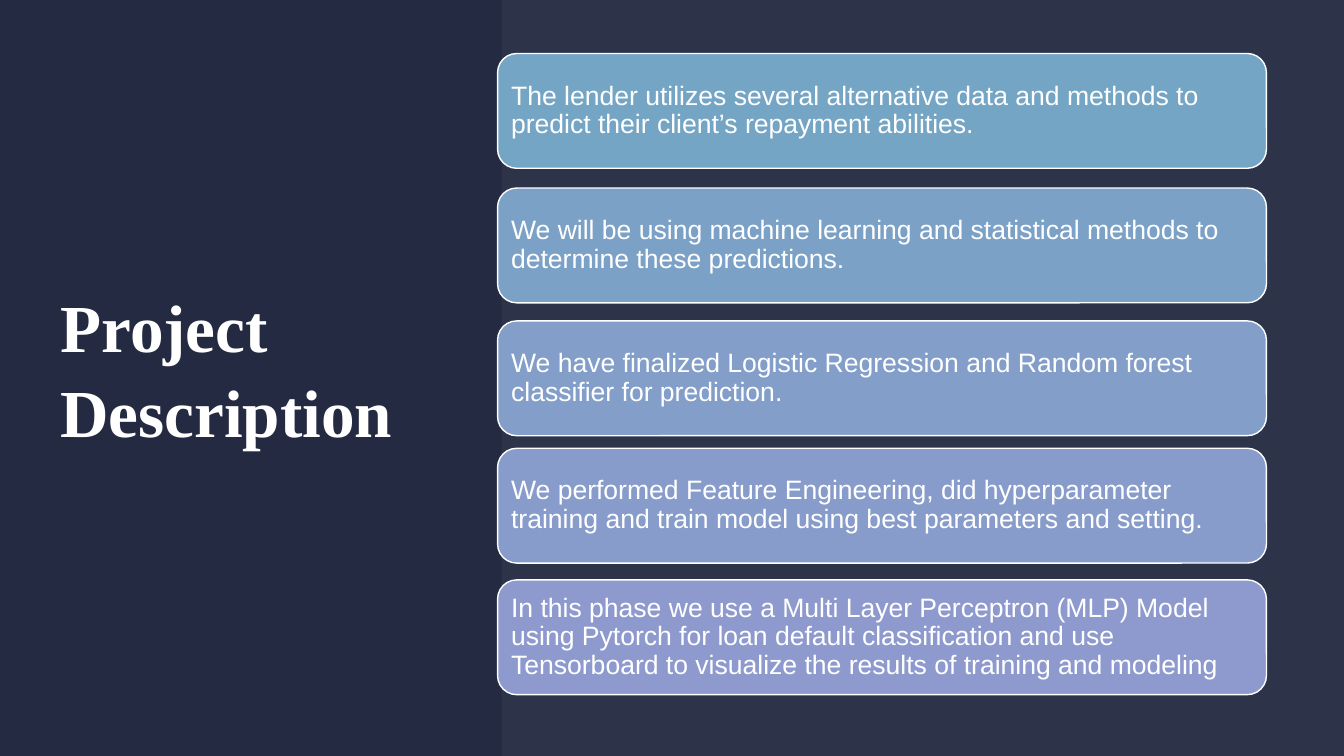
from pptx import Presentation
from pptx.dml.color import RGBColor
from pptx.enum.shapes import MSO_SHAPE
from pptx.enum.text import MSO_ANCHOR, PP_ALIGN
from pptx.oxml.ns import qn
from pptx.util import Pt
from lxml.etree import SubElement

TITLE = "Project Description"
# (top in points, fill, text)
CARDS = [
    (38.2, RGBColor(0x75, 0xA5, 0xC4),
     "The lender utilizes several alternative data and methods to predict "
     "their client’s repayment abilities."),
    (134.3, RGBColor(0x7B, 0xA1, 0xC6),
     "We will be using machine learning and statistical methods to determine "
     "these predictions."),
    (229.2, RGBColor(0x82, 0x9E, 0xC9),
     "We have finalized Logistic Regression and Random forest classifier for "
     "prediction."),
    (320.2, RGBColor(0x88, 0x9C, 0xCB),
     "We performed Feature Engineering, did hyperparameter training and train "
     "model using best parameters and setting."),
    (414.2, RGBColor(0x8E, 0x9A, 0xCE),
     "In this phase we use a Multi Layer Perceptron (MLP) Model using Pytorch "
     "for loan default classification and use Tensorboard to visualize the "
     "results of training and modeling"),
]

NAVY = RGBColor(0x24, 0x2A, 0x41)
PALE = RGBColor(0xE5, 0xE7, 0xF0)
WHITE = RGBColor(0xFF, 0xFF, 0xFF)

SLIDE_W, SLIDE_H = 960, 540
PANEL_LEFT = 358.3
CARD_LEFT, CARD_W, CARD_H = 355.4, 549.2, 82
CARD_INSET = 5.7

TITLE_FONT = {"name": "Times New Roman", "size": Pt(48), "bold": True}
CARD_FONT = {"name": "Arial", "size": Pt(19)}


def add_box(slide, kind, left, top, width, height, fill):
    sp = slide.shapes.add_shape(kind, Pt(left), Pt(top), Pt(width), Pt(height))
    sp.shadow.inherit = False
    sp.fill.solid()
    sp.fill.fore_color.rgb = fill
    sp.line.fill.background()
    return sp


def set_text(sp, text, font, inset, spacing):
    """Write one left-aligned, vertically centred white paragraph."""
    tf = sp.text_frame
    tf.word_wrap = True
    tf.vertical_anchor = MSO_ANCHOR.MIDDLE
    for side in ("left", "top", "right", "bottom"):
        setattr(tf, f"margin_{side}", Pt(inset))
    p = tf.paragraphs[0]
    p.alignment = PP_ALIGN.LEFT
    p.line_spacing = spacing
    r = p.add_run()
    r.text = text
    r.font.color.rgb = WHITE
    for name, value in font.items():
        setattr(r.font, name, value)


def set_opacity(sp, percent):
    color = sp.fill._xPr.find(qn("a:solidFill"))[0]
    SubElement(color, qn("a:alpha")).set("val", str(percent * 1000))


def main():
    prs = Presentation()
    prs.slide_width, prs.slide_height = Pt(SLIDE_W), Pt(SLIDE_H)
    slide = prs.slides.add_slide(prs.slide_layouts[6])
    slide.background.fill.solid()
    slide.background.fill.fore_color.rgb = NAVY

    add_box(slide, MSO_SHAPE.RECTANGLE, 0, 0, SLIDE_W, SLIDE_H, NAVY)
    title = slide.shapes.add_textbox(Pt(43.2), Pt(43.2), Pt(280.8), Pt(436.3))
    set_text(title, TITLE, TITLE_FONT, 0, 1.05)

    panel = add_box(slide, MSO_SHAPE.RECTANGLE, PANEL_LEFT, 0,
                    SLIDE_W - PANEL_LEFT, SLIDE_H, PALE)
    set_opacity(panel, 5)

    for top, fill, text in CARDS:
        card = add_box(slide, MSO_SHAPE.ROUNDED_RECTANGLE,
                       CARD_LEFT, top, CARD_W, CARD_H, fill)
        card.line.color.rgb = WHITE
        card.line.width = Pt(1)
        set_text(card, text, CARD_FONT, CARD_INSET, 0.9)

    prs.save("out.pptx")


if __name__ == "__main__":
    main()
